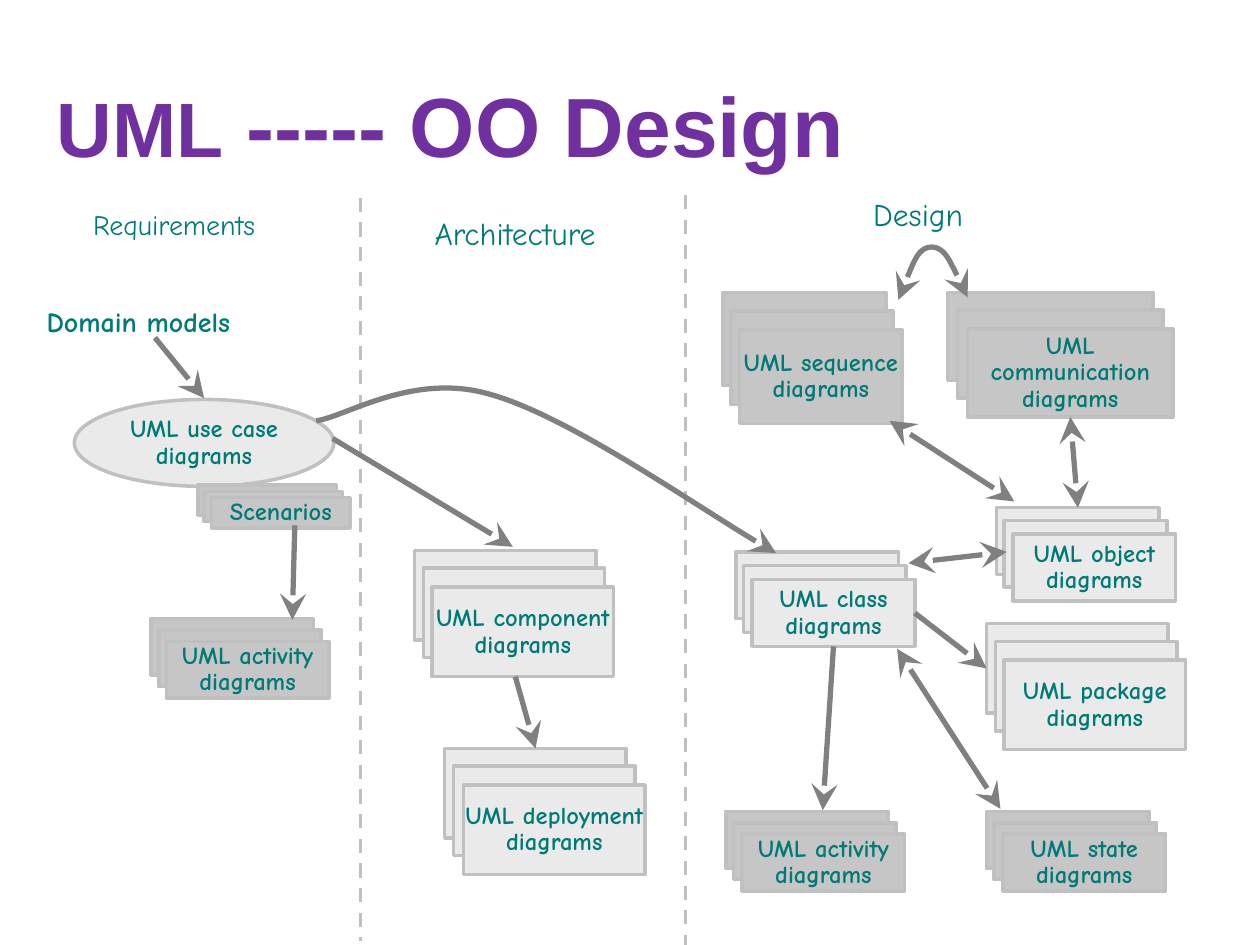
from lxml import etree
from pptx import Presentation
from pptx import util as u
from pptx.dml import color
from pptx.enum import dml, shapes, text
from pptx.oxml import ns

SCALE = 9144
TEAL, PURPLE = "007A77", "7030A0"
PALE, MID, EDGE, ARROW = "EAEAEA", "C6C6C6", "C0C0C0", "808080"


def px(*lengths):
    return [length * SCALE for length in lengths]


def rgb(value):
    return color.RGBColor.from_string(value)


def apply(target, values):
    for name, value in values.items():
        setattr(target, name, value)


def set_line(line, colour, width):
    line.color.rgb = rgb(colour)
    line.width = u.Pt(width)


def set_font(font, size, colour, bold, name="Comic Neue"):
    apply(font, {"size": u.Pt(size), "bold": bold, "name": name})
    font.color.rgb = rgb(colour)


def write(shape, words, size=14, bold=True, wrap=True, align=text.PP_ALIGN.CENTER):
    frame = shape.text_frame
    apply(frame, {
        "margin_left": 0, "margin_top": 0, "margin_right": 0, "margin_bottom": 0,
        "word_wrap": wrap, "vertical_anchor": text.MSO_ANCHOR.MIDDLE,
    })
    paragraph = frame.paragraphs[0]
    apply(paragraph, {"text": words, "alignment": align, "line_spacing": 0.9})
    set_font(paragraph.font, size, TEAL, bold)


def add_label(slide, box, words, size, bold=False):
    shape = slide.shapes.add_textbox(*px(*box))
    write(shape, words, size, bold, False, text.PP_ALIGN.LEFT)
    shape.text_frame.auto_size = text.MSO_AUTO_SIZE.SHAPE_TO_FIT_TEXT


def add_node(slide, box, fill, kind=shapes.MSO_SHAPE.RECTANGLE):
    shape = slide.shapes.add_shape(kind, *px(*box))
    shape.shadow.inherit = False
    shape.fill.solid()
    shape.fill.fore_color.rgb = rgb(fill)
    set_line(shape.line, EDGE, 2)
    return shape


def add_stack(slide, box, shift, words, fill):
    left, top, width, height = box
    across, down = shift
    layers = [
        add_node(slide, (left + across * step // 2, top + down * step // 2, width, height), fill)
        for step in range(3)
    ]
    write(layers[-1], words)
    return layers


def add_heads(shape, both):
    line = shape.line._get_or_add_ln()
    for tag in ("a:headEnd", "a:tailEnd") if both else ("a:tailEnd",):
        etree.SubElement(line, ns.qn(tag), type="stealth", w="lg", len="lg")


def add_straight(slide, points, colour, width):
    connector = slide.shapes.add_connector(shapes.MSO_CONNECTOR.STRAIGHT, *px(*points))
    set_line(connector.line, colour, width)
    etree.SubElement(connector._element.spPr, ns.qn("a:effectLst"))
    return connector


def add_arrow(slide, points, both=False, start=None, end=None):
    connector = add_straight(slide, points, ARROW, 3)
    add_heads(connector, both)
    if start:
        connector.begin_connect(*start)
    if end:
        connector.end_connect(*end)


def add_curve(slide, points, both=False):
    points = [px(*point) for point in points]
    builder = slide.shapes.build_freeform(*points[0])
    builder.add_line_segments(points[1:], close=False)
    shape = builder.convert_to_shape()
    shape.shadow.inherit = False
    shape.fill.background()
    set_line(shape.line, ARROW, 3)
    add_heads(shape, both)
    segments = list(shape._element.iter(ns.qn("a:lnTo")))
    outline = segments[0].getparent()
    for first in range(0, len(segments), 3):
        bezier = etree.SubElement(outline, ns.qn("a:cubicBezTo"))
        for segment in segments[first:first + 3]:
            bezier.append(segment[0])
            outline.remove(segment)


def add_title(slide, box):
    title = slide.shapes.title
    apply(title, dict(zip(("left", "top", "width", "height"), px(*box))))
    title.text_frame.vertical_anchor = text.MSO_ANCHOR.MIDDLE
    paragraph = title.text_frame.paragraphs[0]
    paragraph.alignment = text.PP_ALIGN.LEFT
    for words, size in (("UML", 44), (" ----- OO Design", 48)):
        run = paragraph.add_run()
        run.text = words
        set_font(run.font, size, PURPLE, True, "Arial")


def add_dividers(slide, left, top):
    for x, y, bottom in ((0, 2, 592), (258, 0, 595)):
        divider = add_straight(slide, (left + x, top + y, left + x, top + bottom), EDGE, 2)
        divider.line.dash_style = dml.MSO_LINE.DASH


def add_requirements(slide, left, top):
    def at(x, y, *size):
        return (left + x, top + y, *size)

    add_label(slide, at(74, 13, 147, 24), "Requirements", 16)
    use_case = add_node(slide, at(59, 162, 206, 69), PALE, shapes.MSO_SHAPE.OVAL)
    write(use_case, "UML use case diagrams")
    add_stack(slide, at(157, 230, 110, 24), (11, 10), "Scenarios", MID)
    add_stack(slide, at(120, 336, 129, 45), (12, 18), "UML activity diagrams", MID)
    add_label(slide, at(37, 90, 173, 24), "Domain models", 16, True)
    add_arrow(slide, at(123, 113) + at(162, 161))
    add_arrow(slide, at(234, 262) + at(232, 337))


def add_architecture(slide, left, top):
    def at(x, y, *size):
        return (left + x, top + y, *size)

    add_label(slide, at(59, 18, 144, 27), "Architecture", 18)
    add_stack(slide, at(43, 282, 144, 71), (14, 29), "UML component diagrams", PALE)
    deployment = add_stack(slide, at(67, 439, 144, 71), (15, 29), "UML deployment diagrams", PALE)
    add_arrow(slide, at(123, 382) + at(139, 439), end=(deployment[0], 0))


def add_design(slide, left, top):
    def at(x, y, *size):
        return (left + x, top + y, *size)

    add_label(slide, at(149, 3, 82, 27), "Design", 18)
    stacks = {
        name: add_stack(slide, at(*box), shift, f"UML {name} diagrams", fill)
        for name, box, shift, fill in (
            ("state", (239, 489, 129, 45), (13, 18), MID),
            ("class", (40, 283, 129, 53), (13, 22), PALE),
            ("object", (247, 248, 129, 53), (13, 21), PALE),
            ("sequence", (30, 77, 129, 74), (13, 30), MID),
            ("communication", (208, 77, 163, 70), (16, 29), MID),
            ("package", (239, 340, 144, 71), (14, 29), PALE),
            ("activity", (32, 489, 129, 45), (13, 18), MID),
        )
    }
    front_class = stacks["class"][-1]
    add_arrow(slide, at(119, 359) + at(109, 488), start=(front_class, 2))
    add_arrow(slide, at(183, 331) + at(237, 375),
              start=(front_class, 3), end=(stacks["package"][0], 1))
    add_arrow(slide, at(311, 246) + at(305, 177), True,
              (stacks["object"][0], 0), (stacks["communication"][-1], 2))
    for start, end in (
        ((261, 243), (162, 179)), ((168, 360), (250, 487)), ((255, 283), (177, 292)),
    ):
        add_arrow(slide, at(*start) + at(*end), True)
    arch = ((169, 83), (177, 62), (185, 41), (196, 41), (206, 42), (215, 62), (224, 81))
    add_curve(slide, [at(*point) for point in arch], True)


def add_phase_links(slide, left, top):
    def at(x, y):
        return left + x, top + y

    add_arrow(slide, at(264, 193) + at(407, 279))
    to_class = ((251, 179), (274, 176), (328, 140), (389, 158),
                (450, 175), (569, 258), (616, 284))
    add_curve(slide, [at(*point) for point in to_class])


def main():
    presentation = Presentation()
    presentation.slide_width, presentation.slide_height = px(1000, 750)
    slide = presentation.slides.add_slide(presentation.slide_layouts[5])
    add_title(slide, (35, 36, 934, 125))
    add_dividers(slide, 286, 155)
    add_requirements(slide, 0, 155)
    add_architecture(slide, 286, 155)
    add_design(slide, 544, 155)
    add_phase_links(slide, 0, 155)
    presentation.save("out.pptx")


if __name__ == "__main__":
    main()
